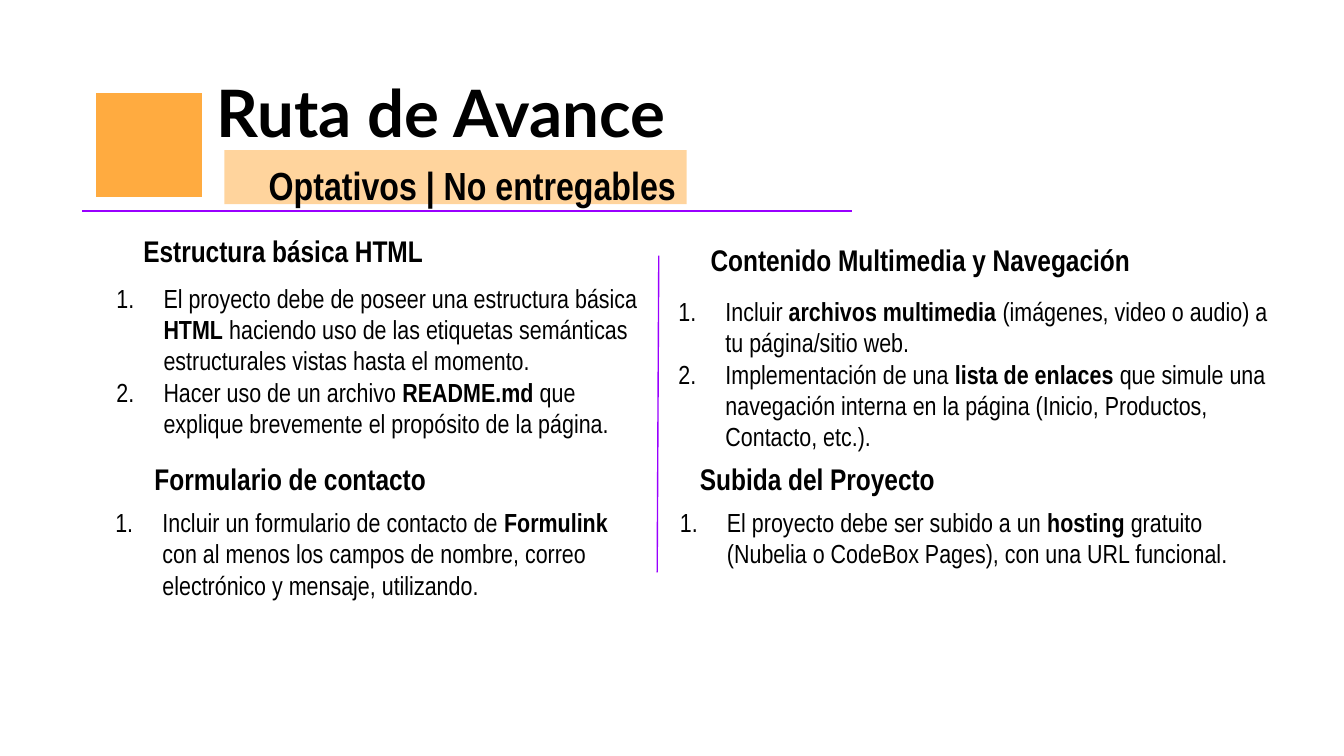
from lxml import etree
from pptx import Presentation
from pptx import util as u
from pptx.dml.color import RGBColor
from pptx.enum import shapes, text
from pptx.oxml.ns import qn

COLORS = {"ink": "000000", "orange": "FFAB40", "white": "FFFFFF", "purple": "9900FF"}
NARROW = "Arial Narrow"


def write(sp, content, size=14, font=NARROW, bold=False, numbered=False,
          spacing=1.0, inset=0.25):
    """Fill a shape with one paragraph per line, where ** marks bold runs."""
    tf = sp.text_frame
    tf.word_wrap = True
    tf.auto_size = text.MSO_AUTO_SIZE.NONE
    tf.vertical_anchor = text.MSO_ANCHOR.TOP
    tf.margin_left = tf.margin_right = tf.margin_top = tf.margin_bottom = u.Cm(inset)
    for i, line in enumerate(content.split("\n")):
        p = tf.add_paragraph() if i else tf.paragraphs[0]
        pPr = p._p.get_or_add_pPr()
        pPr.set("marL", str(u.Cm(1.27) if numbered else 0))
        pPr.set("indent", str(u.Cm(-0.89) if numbered else 0))
        if numbered:
            clr = etree.SubElement(pPr, qn("a:buClr"))
            etree.SubElement(clr, qn("a:srgbClr"), val=COLORS["ink"])
            etree.SubElement(pPr, qn("a:buAutoNum"), type="arabicPeriod")
        else:
            etree.SubElement(pPr, qn("a:buNone"))
        p.alignment = text.PP_ALIGN.LEFT
        p.line_spacing = spacing
        p.space_before = p.space_after = u.Pt(0)
        for j, part in enumerate(line.split("**")):
            if part:
                r = p.add_run()
                r.text = part
                r.font.name, r.font.size = font, u.Pt(size)
                r.font.bold = bold or j % 2 == 1
                r.font.color.rgb = RGBColor.from_string(COLORS["ink"])


class Deck:
    """Holds the palette and the current slide."""

    def __init__(self, prs, colors):
        self.colors = colors
        self.s = prs.slides.add_slide(prs.slide_layouts[4])

    def rgb(self, name):
        return RGBColor.from_string(self.colors[name])

    def holder(self, idx, box, content, **fmt):
        sp = self.s.placeholders[idx]
        sp.left, sp.top, sp.width, sp.height = map(u.Cm, box)
        write(sp, content, **fmt)

    def label(self, box, content, **fmt):
        write(self.s.shapes.add_textbox(*map(u.Cm, box)), content, **fmt)

    def block(self, box, fill, alpha=None, outline=None):
        sp = self.s.shapes.add_shape(shapes.MSO_SHAPE.RECTANGLE, *map(u.Cm, box))
        sp.shadow.inherit = False
        sp.fill.solid()
        sp.fill.fore_color.rgb = self.rgb(fill)
        if alpha:
            clr = sp.fill._xPr.find(qn("a:solidFill"))[0]
            etree.SubElement(clr, qn("a:alpha"), val=str(alpha * 1000))
        if outline:
            sp.line.color.rgb = self.rgb(outline)
            sp.line.width = u.Pt(1.5)
        else:
            sp.line.fill.background()

    def rule(self, ends, color):
        c = self.s.shapes.add_connector(shapes.MSO_CONNECTOR.STRAIGHT, *map(u.Cm, ends))
        c.line.color.rgb = self.rgb(color)
        c.line.width = u.Pt(0.75)
        etree.SubElement(c._element.spPr, qn("a:effectLst"))


def main():
    prs = Presentation()
    prs.slide_width, prs.slide_height = u.Cm(25.4), u.Cm(14.29)
    deck = Deck(prs, COLORS)

    deck.holder(0, (3.84, 1.12, 11.35, 2.06), "Ruta de Avance", size=35, font="Lato", bold=True)
    deck.rule((1.55, 3.99, 16.1, 3.99), "purple")
    deck.block((1.78, 1.73, 2.06, 2.03), "orange", outline="white")
    deck.block((4.24, 2.84, 8.74, 1.02), "orange", alpha=51)
    deck.label((5.08, 2.87, 7.9, 0.89), "Optativos | No entregables",
               size=21, bold=True, spacing=1.2, inset=0)

    heading = {"size": 16, "bold": True}
    deck.holder(1, (2.46, 4.14, 9.55, 1.02), "Estructura básica HTML", **heading)
    deck.holder(3, (13.18, 4.32, 11.63, 1.02), "Contenido Multimedia y Navegación", **heading)
    deck.label((2.67, 8.46, 9.55, 1.02), "Formulario de contacto", **heading)
    deck.label((12.98, 8.46, 9.55, 1.02), "Subida del Proyecto", **heading)

    deck.holder(2, (1.57, 5.08, 10.87, 3.78),
                "El proyecto debe de poseer una estructura básica **HTML** haciendo uso de las "
                "etiquetas semánticas estructurales vistas hasta el momento.\n"
                "Hacer uso de un archivo** README.md** que explique brevemente el propósito "
                "de la página.", numbered=True)
    deck.holder(4, (12.19, 5.33, 12.22, 3.78),
                "Incluir** archivos multimedia** (imágenes, video o audio) a tu página/sitio web.\n"
                "Implementación de una **lista de enlaces **que simule una navegación interna "
                "en la página (Inicio, Productos, Contacto, etc.).", numbered=True)
    deck.label((1.55, 9.32, 10.67, 3.78),
               "Incluir un formulario de contacto de **Formulink **con al menos los campos de "
               "nombre, correo electrónico y mensaje, utilizando.", numbered=True)
    deck.label((12.22, 9.32, 11.76, 3.78),
               "El proyecto debe ser subido a un **hosting** gratuito (Nubelia o CodeBox Pages), "
               "con una URL funcional.", numbered=True)
    deck.rule((12.45, 4.83, 12.42, 10.82), "purple")

    prs.save("out.pptx")


if __name__ == "__main__":
    main()
